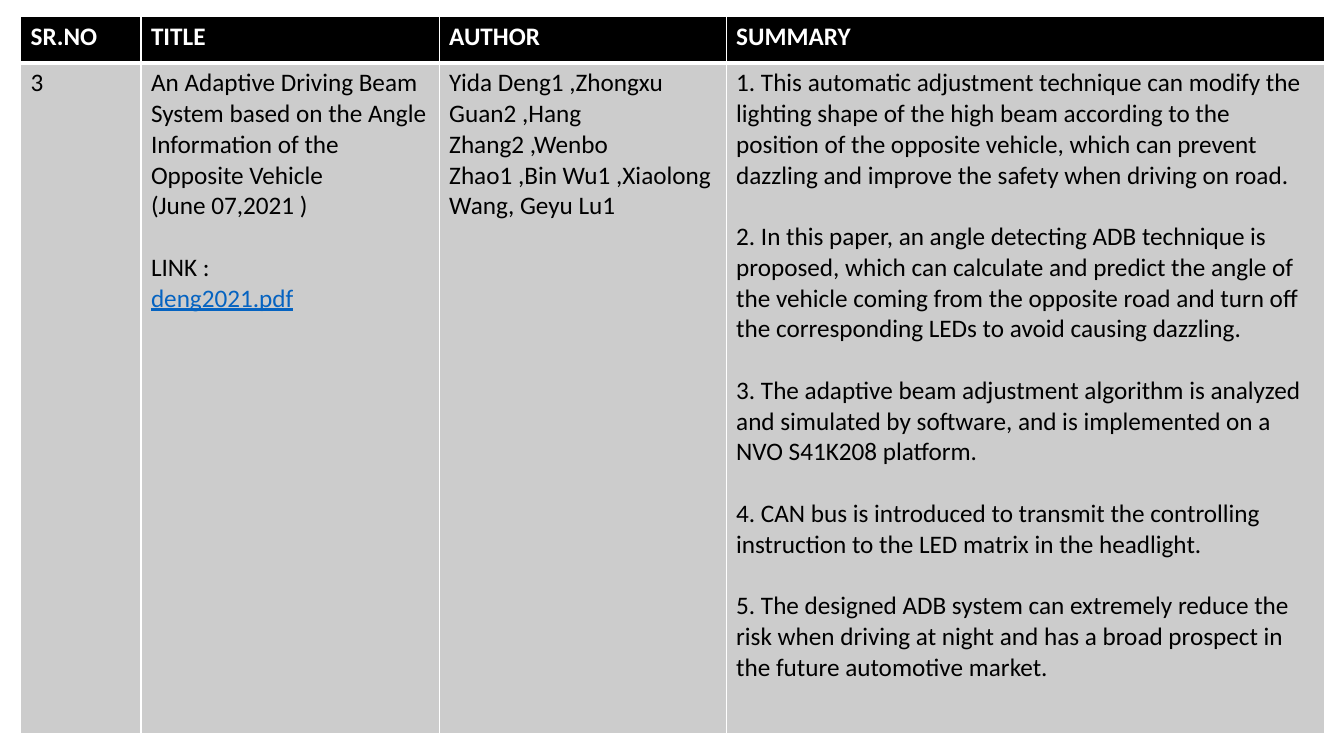
from dataclasses import dataclass

import pptx
import pptx.dml.color
import pptx.oxml
import pptx.oxml.ns
import pptx.util

Pt = pptx.util.Pt
RGBColor = pptx.dml.color.RGBColor


@dataclass(frozen=True)
class Theme:
    font: str = "Calibri"
    text_size: float = 18
    section_gap: float = 22
    header_fill: str = "000000"
    body_fill: str = "CCCCCC"
    header_text: str = "FFFFFF"
    body_text: str = "000000"
    link_text: str = "0563C1"
    border: str = "FFFFFF"
    thin_border: float = 1
    thick_border: float = 3


THEME = Theme()
NO_BREAK_SPACE = chr(160)

COLUMN_WIDTHS = (86, 213, 205, 427.5)
ROW_HEIGHTS = (33.1, 479.5)
HEADERS = ("SR.NO", "TITLE", "AUTHOR", "SUMMARY")
LINK = "deng2021.pdf"

# Each cell is a list of sections, and each section a list of paragraphs.
NUMBER = [["3"]]
TITLE = [
    ["An Adaptive Driving Beam System based on the Angle Information of the "
     "Opposite Vehicle", "(June 07,2021 )"],
    ["LINK :", LINK],
]
AUTHORS = [[
    "Yida Deng1 ,Zhongxu Guan2 ,Hang Zhang2 ,Wenbo Zhao1 ,Bin Wu1 ,Xiaolong "
    "Wang, Geyu Lu1".replace(" ,", NO_BREAK_SPACE + ",")
]]
SUMMARY = [
    ["1. This automatic adjustment technique can modify the lighting shape of "
     "the high beam according to the position of the opposite vehicle, which "
     "can prevent dazzling and improve the safety when driving on road."],
    ["2. In this paper, an angle detecting ADB technique is proposed, which "
     "can calculate and predict the angle of the vehicle coming from the "
     "opposite road and turn off the corresponding LEDs to avoid causing "
     "dazzling."],
    ["3. The adaptive beam adjustment algorithm is analyzed and simulated by "
     "software, and is implemented on a NVO S41K208 platform."],
    ["4. CAN bus is introduced to transmit the controlling instruction to the "
     "LED matrix in the headlight."],
    ["5. The designed ADB system can extremely reduce the risk when driving "
     "at night and has a broad prospect in the future automotive market."],
]


def set_borders(cell, top, bottom):
    """Draw all four sides; the vertical sides are always thin."""
    properties = cell._tc.get_or_add_tcPr()
    widths = {"L": THEME.thin_border, "R": THEME.thin_border,
              "T": top, "B": bottom}
    for position, (side, width) in enumerate(widths.items()):
        line = pptx.oxml.parse_xml(
            f'<a:ln{side} {pptx.oxml.ns.nsdecls("a")} w="{Pt(width)}">'
            f'<a:solidFill><a:srgbClr val="{THEME.border}"/></a:solidFill>'
            f'</a:ln{side}>')
        properties.insert(position, line)


def fill_cell(cell, color):
    cell.fill.solid()
    cell.fill.fore_color.rgb = RGBColor.from_string(color)


def write_sections(cell, sections, color, bold=False):
    """Write the paragraphs, with a gap before each section but the first."""
    frame = cell.text_frame
    frame.text = "\n".join(text for section in sections for text in section)
    paragraphs = iter(frame.paragraphs)
    for section_index, section in enumerate(sections):
        for line_index, text in enumerate(section):
            paragraph = next(paragraphs)
            if section_index and not line_index:
                paragraph.space_before = Pt(THEME.section_gap)
            is_link = text == LINK
            font = paragraph.runs[0].font
            font.name = THEME.font
            font.size = Pt(THEME.text_size)
            font.bold = bold
            font.underline = is_link
            font.color.rgb = RGBColor.from_string(
                THEME.link_text if is_link else color)


def add_paper_table(slide):
    frame = slide.shapes.add_table(
        len(ROW_HEIGHTS), len(COLUMN_WIDTHS), Pt(14.7), Pt(11.7),
        Pt(sum(COLUMN_WIDTHS)), Pt(sum(ROW_HEIGHTS)))
    table = frame.table
    for column, width in zip(table.columns, COLUMN_WIDTHS):
        column.width = Pt(width)
    for row, height in zip(table.rows, ROW_HEIGHTS):
        row.height = Pt(height)

    for cell, header in zip(table.rows[0].cells, HEADERS):
        fill_cell(cell, THEME.header_fill)
        set_borders(cell, THEME.thin_border, THEME.thick_border)
        write_sections(cell, [[header]], THEME.header_text, bold=True)
    for cell, sections in zip(table.rows[1].cells,
                              (NUMBER, TITLE, AUTHORS, SUMMARY)):
        fill_cell(cell, THEME.body_fill)
        set_borders(cell, THEME.thick_border, THEME.thin_border)
        write_sections(cell, sections, THEME.body_text)


def main():
    presentation = pptx.Presentation()
    presentation.slide_width = Pt(960)
    presentation.slide_height = Pt(540)
    slide = presentation.slides.add_slide(presentation.slide_layouts[6])
    add_paper_table(slide)
    presentation.save("out.pptx")


if __name__ == "__main__":
    main()
